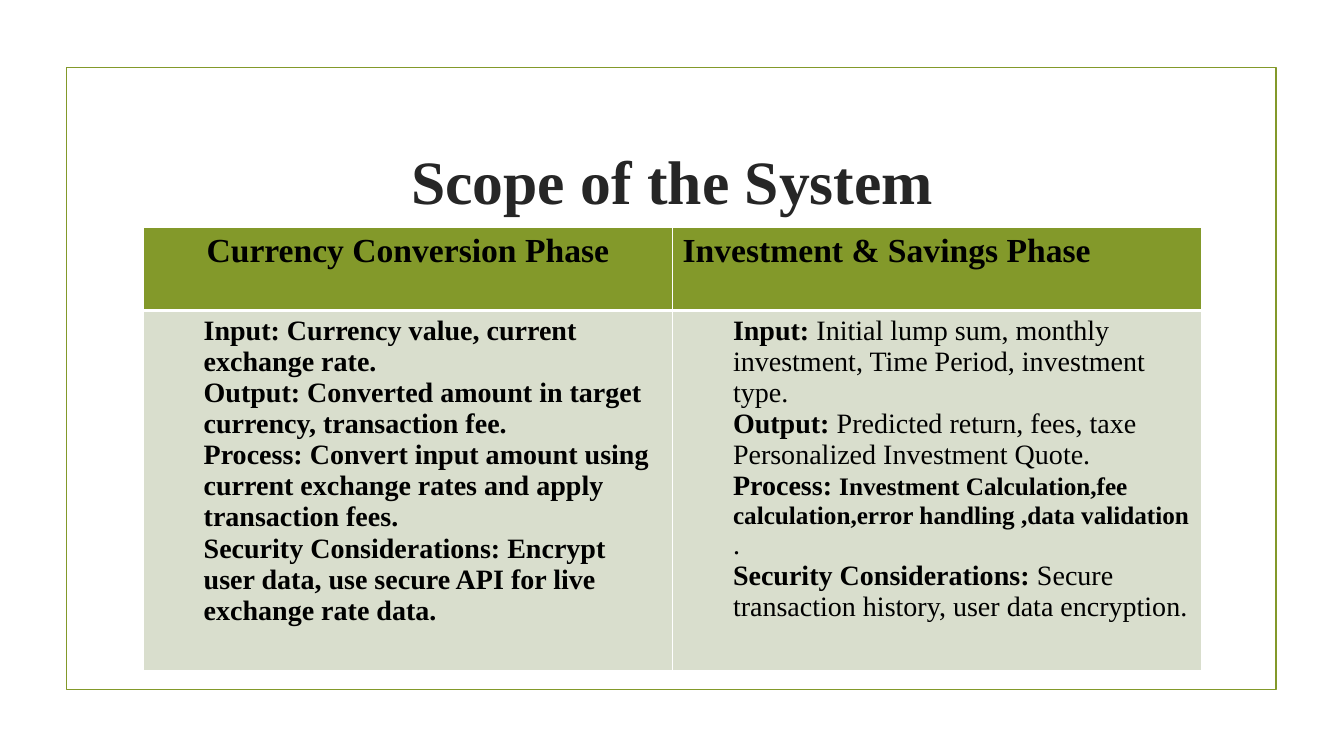
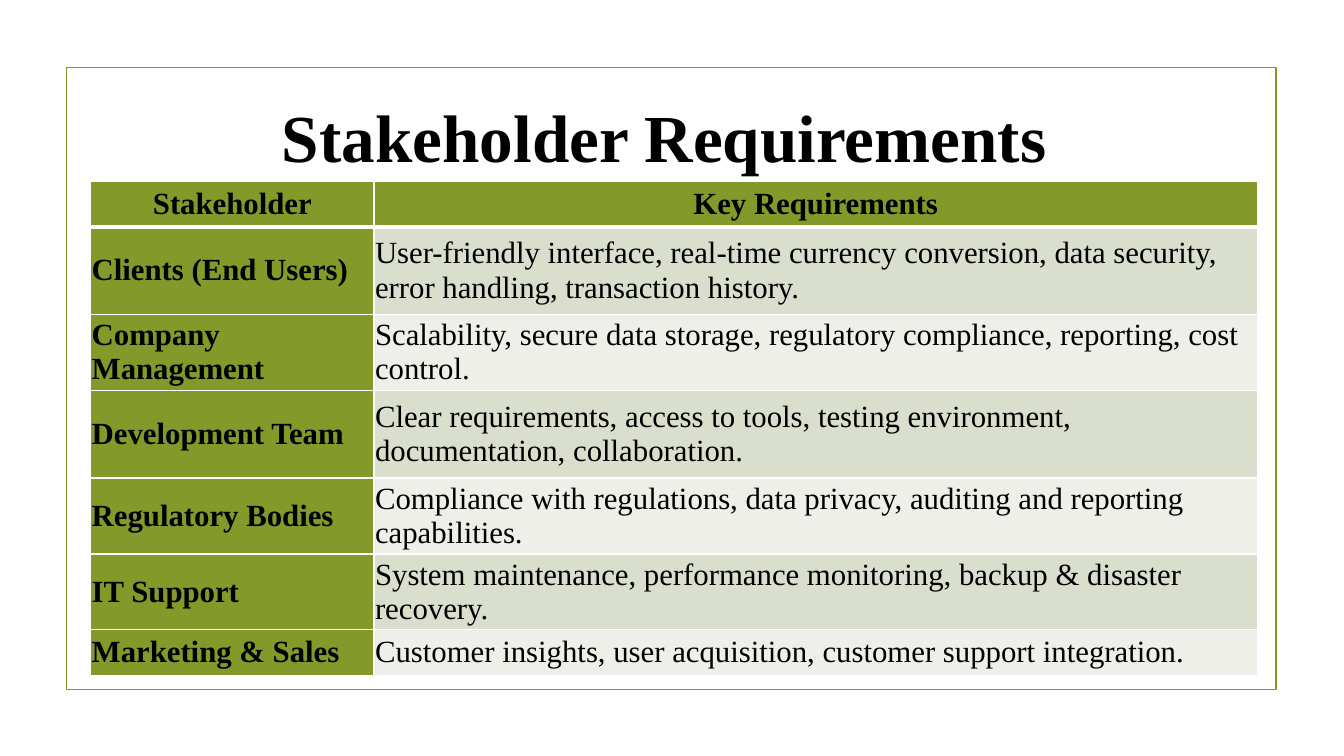
"""Build two table slides on the scope and the stakeholders of a finance system."""
from dataclasses import dataclass

from lxml.etree import SubElement
from pptx import Presentation
from pptx.dml.color import RGBColor
from pptx.enum.shapes import MSO_SHAPE as Shape
from pptx.enum.text import MSO_ANCHOR as Anchor, PP_ALIGN as Align
from pptx.oxml.ns import qn
from pptx.slide import Slide
from pptx.table import _Cell as Cell
from pptx.util import Inches, Pt

OLIVE = RGBColor(0x83, 0x99, 0x2A)
SAGE = RGBColor(0xD9, 0xDE, 0xCD)
MIST = RGBColor(0xED, 0xEF, 0xE8)
WHITE = RGBColor(0xFF, 0xFF, 0xFF)
BLACK = RGBColor(0, 0, 0)
CHARCOAL = RGBColor(0x26, 0x26, 0x26)
FONT = "Times New Roman"


@dataclass(frozen=True)
class Span:
    """A stretch of text in one size and weight."""
    text: str
    size: float
    bold: bool = True
    color: RGBColor = BLACK


@dataclass(frozen=True)
class Box:
    """A place on the slide, in inches."""
    left: float
    top: float
    width: float
    height: float

    def lengths(self) -> list[Inches]:
        """Return the four measures as lengths."""
        return [Inches(v) for v in (self.left, self.top, self.width, self.height)]


@dataclass(frozen=True)
class CellStyle:
    """The look of one table cell."""
    fill: RGBColor
    align: Align = Align.LEFT
    anchor: Anchor = Anchor.TOP
    inset: float | None = None
    indent: float = 0
    spacing: float | None = None
    bottom_border: float = 1


@dataclass(frozen=True)
class Entry:
    """The paragraphs of one table cell and their style."""
    paragraphs: list[list[Span]]
    style: CellStyle


FRAME = Box(0.66, 0.67, 12, 6.17)

SCOPE_HEAD = CellStyle(OLIVE, bottom_border=3)
SCOPE_HEAD_CENTERED = CellStyle(OLIVE, Align.CENTER, bottom_border=3)
SCOPE_BODY = CellStyle(SAGE, indent=0.5)
CONVERSION = [
    "Input: Currency value, current exchange rate.",
    "Output: Converted amount in target currency, transaction fee.",
    "Process: Convert input amount using current exchange rates and apply transaction fees.",
    "Security Considerations: Encrypt user data, use secure API for live exchange rate data.",
]
INVESTMENT = [
    [Span("Input:", 20),
     Span(" Initial lump sum, monthly investment, Time Period, investment type.", 20, False)],
    [Span("Output:", 20),
     Span(" Predicted return, fees, taxe\tPersonalized Investment Quote.", 20, False)],
    [Span("Process: ", 20),
     Span("Investment Calculation,fee calculation,error handling ,data validation ", 18),
     Span(".", 20, False)],
    [Span("Security Considerations:", 20),
     Span(" Secure transaction history, user data encryption.", 20, False)],
]
SCOPE = [
    [Entry([[Span("Currency Conversion Phase", 24)]], SCOPE_HEAD_CENTERED),
     Entry([[Span("Investment & Savings Phase", 24)]], SCOPE_HEAD)],
    [Entry([[Span(line, 20)] for line in CONVERSION], SCOPE_BODY),
     Entry(INVESTMENT, SCOPE_BODY)],
]

STAKEHOLDER_HEAD = CellStyle(OLIVE, Align.CENTER, Anchor.MIDDLE, 0.01,
                             spacing=1.03, bottom_border=3)
REQUIREMENTS = [
    ("Clients (End Users)", "User-friendly interface, real-time currency conversion, "
     "data security, error handling, transaction history."),
    ("Company Management", "Scalability, secure data storage, regulatory compliance, "
     "reporting, cost control."),
    ("Development Team", "Clear requirements, access to tools, testing environment, "
     "documentation, collaboration."),
    ("Regulatory Bodies", "Compliance with regulations, data privacy, auditing and "
     "reporting capabilities."),
    ("IT Support", "System maintenance, performance monitoring, backup & disaster recovery."),
    ("Marketing & Sales", "Customer insights, user acquisition, customer support integration."),
]


def stakeholder_rows() -> list[list[Entry]]:
    """Return the heading row and the banded stakeholder rows."""
    rows = [[Entry([[Span(heading, 22)]], STAKEHOLDER_HEAD)
             for heading in ("Stakeholder", "Key Requirements")]]
    for index, (stakeholder, needs) in enumerate(REQUIREMENTS):
        band = MIST if index % 2 else SAGE
        rows.append([
            Entry([[Span(text, 22, bold)]], CellStyle(fill, anchor=Anchor.MIDDLE, inset=0.01))
            for text, bold, fill in ((stakeholder, True, OLIVE), (needs, False, band))
        ])
    return rows


def write_spans(paragraph, spans: list[Span]) -> None:
    """Add the spans to a paragraph as runs."""
    for span in spans:
        run = paragraph.add_run()
        run.text = span.text
        run.font.name = FONT
        run.font.size = Pt(span.size)
        run.font.bold = span.bold
        run.font.color.rgb = span.color


def set_borders(cell: Cell, bottom: float) -> None:
    """Give a cell white borders, with its own width at the bottom."""
    properties = cell._tc.get_or_add_tcPr()
    for side, width in (("L", 1), ("R", 1), ("T", 1), ("B", bottom)):
        border = SubElement(properties, qn(f"a:ln{side}"), w=str(Pt(width)))
        SubElement(SubElement(border, qn("a:solidFill")), qn("a:srgbClr"), val=str(WHITE))


def fill_cell(cell: Cell, entry: Entry) -> None:
    """Style a cell and write its paragraphs."""
    style = entry.style
    set_borders(cell, style.bottom_border)
    cell.fill.solid()
    cell.fill.fore_color.rgb = style.fill
    cell.vertical_anchor = style.anchor
    if style.inset is not None:
        cell.margin_left = cell.margin_right = Inches(style.inset)
        cell.margin_top = cell.margin_bottom = Inches(style.inset)
    for index, spans in enumerate(entry.paragraphs):
        frame = cell.text_frame
        paragraph = frame.add_paragraph() if index else frame.paragraphs[0]
        paragraph.alignment = style.align
        if style.spacing:
            paragraph.line_spacing = style.spacing
        if style.indent:
            paragraph.level = 1
            properties = paragraph._p.get_or_add_pPr()
            properties.set("marL", str(Inches(style.indent)))
            properties.set("indent", "0")
        write_spans(paragraph, spans)


def add_grid(slide: Slide, box: Box, widths: list[float], heights: list[float],
             rows: list[list[Entry]]) -> None:
    """Draw a table with the given column widths and row heights."""
    table = slide.shapes.add_table(len(heights), len(widths), *box.lengths()).table
    table.first_row = table.horz_banding = False
    for column, width in zip(table.columns, widths):
        column.width = Inches(width)
    for row, height, entries in zip(table.rows, heights, rows):
        row.height = Inches(height)
        for cell, entry in zip(row.cells, entries):
            fill_cell(cell, entry)


def add_framed_slide(deck, title: Span, box: Box) -> Slide:
    """Add a slide with the olive frame and a centred title."""
    slide = deck.slides.add_slide(deck.slide_layouts[6])
    border = slide.shapes.add_shape(Shape.RECTANGLE, *FRAME.lengths())
    border.shadow.inherit = False
    border.fill.background()
    border.line.color.rgb = OLIVE
    border.line.width = Pt(1.25)
    heading = slide.shapes.add_textbox(*box.lengths()).text_frame
    heading.word_wrap = True
    heading.vertical_anchor = Anchor.MIDDLE
    heading.paragraphs[0].alignment = Align.CENTER
    write_spans(heading.paragraphs[0], [title])
    return slide


def main() -> None:
    """Build and save the deck."""
    deck = Presentation()
    deck.slide_width, deck.slide_height = Inches(13.33), Inches(7.5)
    scope = add_framed_slide(deck, Span("Scope of the System", 44, color=CHARCOAL),
                             Box(1.42, 1.07, 10.5, 1.43))
    add_grid(scope, Box(1.42, 2.26, 10.5, 4.39), [5.25, 5.25], [0.82, 3.57], SCOPE)
    stakeholders = add_framed_slide(deck, Span("Stakeholder Requirements", 48),
                                    Box(1.52, 0.89, 10.14, 0.91))
    add_grid(stakeholders, Box(0.9, 1.8, 11.57, 4.74), [2.81, 8.76],
             [0.45, 0.87, 0.7, 0.87, 0.7, 0.7, 0.45], stakeholder_rows())
    deck.save("out.pptx")


if __name__ == "__main__":
    main()
